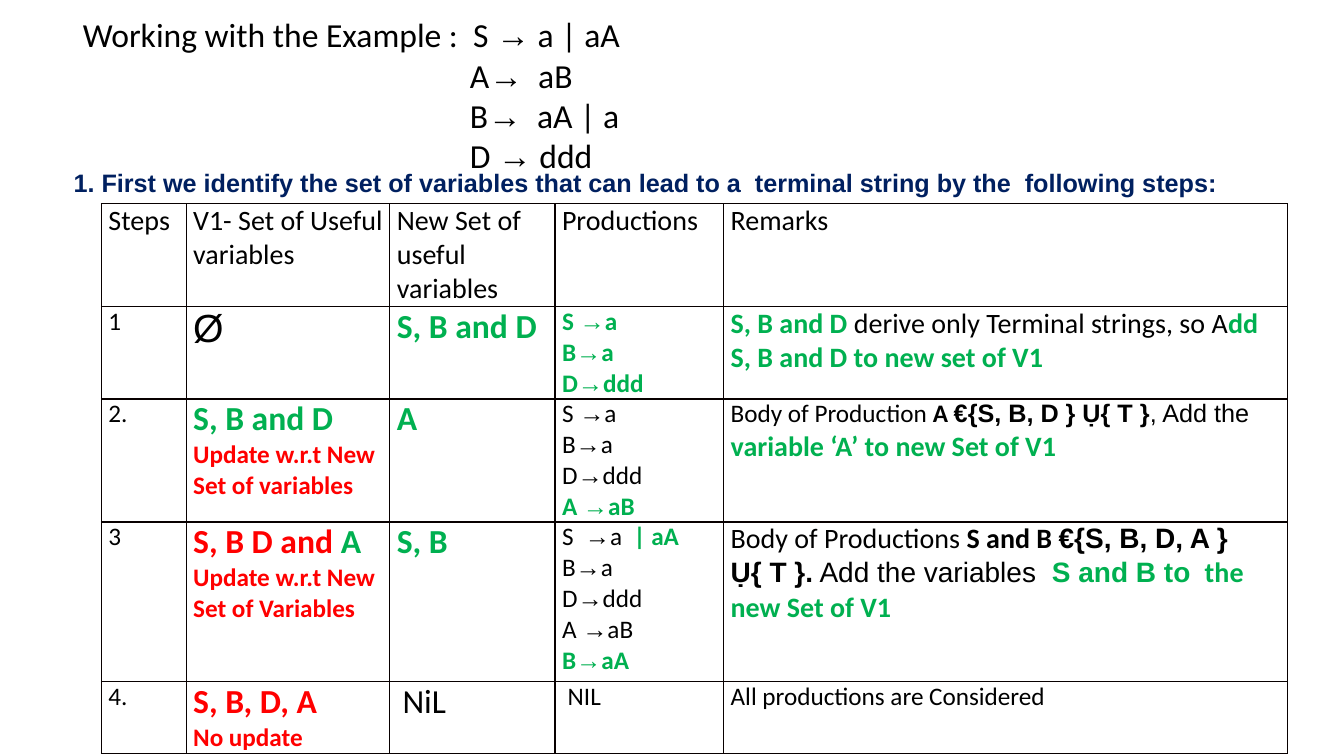
from dataclasses import dataclass

from lxml import etree
from pptx import Presentation
from pptx.dml.color import RGBColor
from pptx.enum.text import MSO_ANCHOR, MSO_AUTO_SIZE, PP_ALIGN
from pptx.oxml.ns import qn
from pptx.util import Pt

LEFT = PP_ALIGN.LEFT
TOP = MSO_ANCHOR.TOP
NO_AUTOFIT = MSO_AUTO_SIZE.NONE

COLORS = {
    "black": "000000", "white": "FFFFFF", "green": "00B050",
    "red": "FF0000", "navy": "002060", "border": "080000",
}
BODY_FONT, SYMBOL_FONT = "Calibri", "Arial"
TITLE_ONLY = 5


@dataclass(frozen=True)
class Words:
    text: str
    size: float = 18
    color: str = "black"
    bold: bool = False
    font: str = BODY_FONT


@dataclass(frozen=True)
class Line:
    runs: list[Words]
    margin: float = 0
    hanging: float = 0


def line(text: str, size: float = 18, color: str = "black", bold: bool = False,
         font: str = BODY_FONT) -> Line:
    return Line([Words(text, size, color, bold, font)])


def production(head: str, body: str, size: float = 18, color: str = "black",
               bold: bool = False, margin: float = 0) -> Line:
    return Line([Words(head, size, color, bold),
                 Words("→", size, color, bold, SYMBOL_FONT),
                 Words(body, size, color, bold)], margin)


def added(head: str, body: str) -> Line:
    return production(head, body, color="green", bold=True)


def write_lines(frame, lines: list[Line]) -> None:
    for index, content in enumerate(lines):
        paragraph = frame.paragraphs[0] if index == 0 else frame.add_paragraph()
        paragraph.alignment = LEFT
        paragraph.line_spacing = 1.0
        properties = paragraph._p.get_or_add_pPr()
        properties.set("marL", str(Pt(content.margin)))
        properties.set("indent", str(-Pt(content.hanging)))
        for words in content.runs:
            run = paragraph.add_run()
            run.text = words.text
            run.font.name = words.font
            run.font.size = Pt(words.size)
            run.font.bold = words.bold
            run.font.color.rgb = RGBColor.from_string(COLORS[words.color])


def write_box(box, left: float, top: float, width: float, height: float,
              lines: list[Line]) -> None:
    box.left, box.top, box.width, box.height = Pt(left), Pt(top), Pt(width), Pt(height)
    frame = box.text_frame
    frame.word_wrap = True
    frame.auto_size = NO_AUTOFIT
    frame.vertical_anchor = TOP
    write_lines(frame, lines)


def format_cell(cell) -> None:
    cell.margin_left = cell.margin_right = Pt(5)
    cell.margin_top = cell.margin_bottom = 0
    cell.vertical_anchor = TOP
    properties = cell._tc.get_or_add_tcPr()
    for side in ("a:lnL", "a:lnR", "a:lnT", "a:lnB"):
        border = etree.SubElement(properties, qn(side), w=str(Pt(1)))
        fill = etree.SubElement(border, qn("a:solidFill"))
        etree.SubElement(fill, qn("a:srgbClr"), val=COLORS["border"])
    cell.fill.solid()
    cell.fill.fore_color.rgb = RGBColor.from_string(COLORS["white"])


# Grammar in the title
RULE_INDENT = 276.5
GRAMMAR = [
    production("Working with the Example :  S ", " a | aA", 24),
    production("A", "  aB", 24, margin=RULE_INDENT),
    production("B", "  aA | a", 24, margin=RULE_INDENT),
    production("D ", " ddd", 24, margin=RULE_INDENT),
]
STEP_HEADING = Line([Words(
    "1. First we identify the set of variables that can lead to a  terminal "
    "string by the  following steps:", 18, "navy", True, SYMBOL_FONT)], 19.5, 19.5)

# Steps of the algorithm
COLUMN_WIDTHS = [60.5, 145.5, 118, 120.5, 402.5]
ROW_HEIGHTS = [72, 65, 86.5, 114, 50.5]
HEADERS = ["Steps", "V1- Set of Useful variables", "New Set of useful variables",
           "Productions", "Remarks"]
TERMINAL_RULES = [("B", "a"), ("D", "ddd")]
KNOWN_RULES = [production(*rule) for rule in TERMINAL_RULES]

STEPS = [
    [[line(header, 20)] for header in HEADERS],
    [
        [line("1")],
        [line("Ø", 28, font=SYMBOL_FONT)],
        [line("S, B and D", 24, "green", True)],
        [added("S ", "a")] + [added(*rule) for rule in TERMINAL_RULES],
        [Line([Words("S, B and D", 20, "green", True),
               Words(" derive only Terminal strings, so A", 20),
               Words("dd S, B and D to new set of V1", 20, "green", True)])],
    ],
    [
        [line("2.")],
        [line("S, B and D", 24, "green", True),
         line("Update w.r.t New Set of variables", 18, "red", True)],
        [line("A", 24, "green", True)],
        [production("S ", "a"), *KNOWN_RULES, added("A ", "aB")],
        [Line([Words("Body of Production "),
               Words("A ", bold=True),
               Words("€{S, B, D } Ụ{ T }", bold=True, font=SYMBOL_FONT),
               Words(", Add the ", font=SYMBOL_FONT),
               Words("variable ‘A’ to new Set of V1", 20, "green", True)])],
    ],
    [
        [line("3")],
        [Line([Words("S, B D and ", 24, "red", True), Words("A", 24, "green", True)]),
         line("Update w.r.t New Set of Variables", 18, "red", True)],
        [line("S, B", 24, "green", True)],
        [Line(production("S  ", "a  ").runs + [Words("| aA", 18, "green", True)]),
         *KNOWN_RULES, production("A ", "aB"), added("B", "aA")],
        [Line([Words("Body of Productions ", 20),
               Words("S and B ", 20, bold=True),
               Words("€{S, B, D, A } Ụ{ T }.", 20, bold=True, font=SYMBOL_FONT),
               Words(" Add the variables  ", 20, font=SYMBOL_FONT),
               Words("S and B to ", 20, "green", True, SYMBOL_FONT),
               Words(" the new Set of V1", 20, "green", True)])],
    ],
    [
        [line("4.")],
        [line("S, B, D, A", 24, "red", True), line("No update", 18, "red", True)],
        [Line([Words(" "), Words("NiL", 24)])],
        [line(" NIL")],
        [line("All productions are Considered")],
    ],
]


def main() -> None:
    presentation = Presentation()
    presentation.slide_width, presentation.slide_height = Pt(960), Pt(540)
    slide = presentation.slides.add_slide(presentation.slide_layouts[TITLE_ONLY])

    # Title with the grammar
    write_box(slide.shapes.title, 52, 6.5, 466, 111.5, GRAMMAR)

    # Table of steps
    steps_table = slide.shapes.add_table(
        len(ROW_HEIGHTS), len(COLUMN_WIDTHS), Pt(72.5), Pt(145.5),
        Pt(sum(COLUMN_WIDTHS)), Pt(sum(ROW_HEIGHTS))).table
    steps_table.first_row = False
    steps_table.horz_banding = False
    for column, width in zip(steps_table.columns, COLUMN_WIDTHS):
        column.width = Pt(width)
    for row, height, step in zip(steps_table.rows, ROW_HEIGHTS, STEPS):
        row.height = Pt(height)
        for cell, lines in zip(row.cells, step):
            format_cell(cell)
            write_lines(cell.text_frame, lines)

    # Heading above the table
    heading = slide.shapes.add_textbox(0, 0, 0, 0)
    write_box(heading, 45.5, 116, 841.5, 57.5, [STEP_HEADING])

    presentation.save("out.pptx")


if __name__ == "__main__":
    main()
